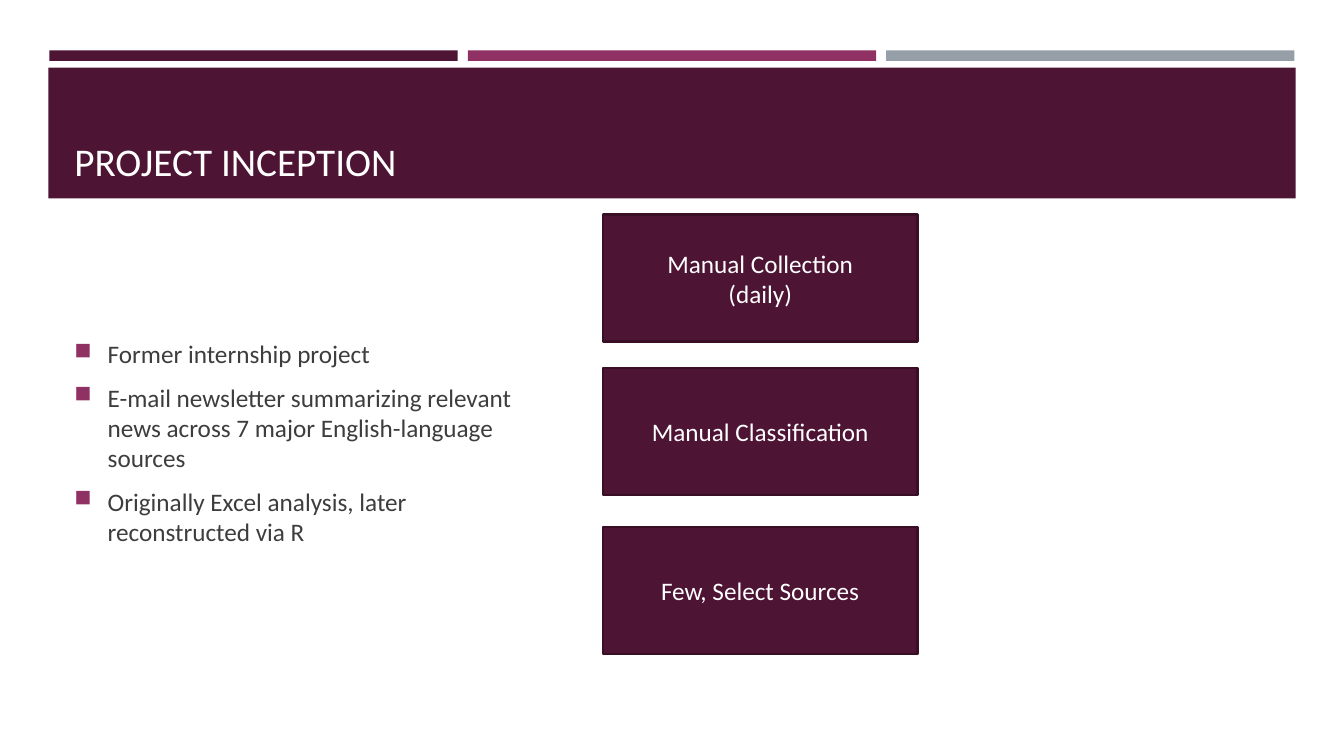
from lxml import etree
from pptx import Presentation
from pptx.dml.color import RGBColor
from pptx.enum.shapes import MSO_SHAPE
from pptx.enum.text import MSO_ANCHOR, PP_ALIGN
from pptx.oxml.ns import qn
from pptx.util import Inches, Pt

RECT = MSO_SHAPE.RECTANGLE
LOW, MID = MSO_ANCHOR.BOTTOM, MSO_ANCHOR.MIDDLE
LEFT, MIDST = PP_ALIGN.LEFT, PP_ALIGN.CENTER

PLUM = RGBColor(0x4D, 0x14, 0x34)
BERRY = RGBColor(0x90, 0x31, 0x63)
GREY = RGBColor(0x96, 0x9F, 0xA7)
EDGE = RGBColor(0x39, 0x0F, 0x26)
INK = RGBColor(0x3D, 0x3D, 0x3D)
WHITE = RGBColor(0xFF, 0xFF, 0xFF)


class Deck:
    """Holds the style and the current slide; lengths are percent of the slide."""
    font = "Calibri"
    size = 18

    def __init__(self):
        self.prs = Presentation()
        self.prs.slide_width = Inches(13.33)
        self.prs.slide_height = Inches(7.5)
        self.slide = self.prs.slides.add_slide(self.prs.slide_layouts[6])

    def place(self, x, y, w, h):
        wide, high = self.prs.slide_width, self.prs.slide_height
        return [round(share * full / 100) for share, full in
                ((x, wide), (y, high), (w, wide), (h, high))]

    def block(self, spot, fill, edge=None):
        shape = self.slide.shapes.add_shape(RECT, *self.place(*spot))
        shape.shadow.inherit = False
        shape.fill.solid()
        shape.fill.fore_color.rgb = fill
        if edge is None:
            shape.line.fill.background()
        else:
            shape.line.color.rgb = edge
            shape.line.width = Pt(1.75)
        return shape

    def letter(self, shape, text, color, anchor, align=LEFT, size=size):
        frame = shape.text_frame
        frame.text = text
        frame.word_wrap = True
        frame.vertical_anchor = anchor
        for para in frame.paragraphs:
            para.alignment = align
            for run in para.runs:
                run.font.name = self.font
                run.font.size = Pt(size)
                run.font.color.rgb = color
        return frame

    def label(self, spot, text, color, anchor, size=size):
        box = self.slide.shapes.add_textbox(*self.place(*spot))
        return self.letter(box, text, color, anchor, size=size)

    def points(self, spot, items):
        frame = self.label(spot, "\n".join(items), INK, MID)
        for para in frame.paragraphs:
            para.space_before = Pt(0.2 * self.size)
            para.space_after = Pt(6)
            props = para._p.get_or_add_pPr()
            props.set("marL", str(Inches(0.33)))
            props.set("indent", str(-Inches(0.33)))
            tint = etree.SubElement(props, qn("a:buClr"))
            etree.SubElement(tint, qn("a:srgbClr"), val=str(BERRY))
            etree.SubElement(props, qn("a:buSzPct"), val="92000")
            etree.SubElement(props, qn("a:buChar"), char="■")

    def card(self, spot, text):
        self.letter(self.block(spot, PLUM, EDGE), text, WHITE, MID, MIDST)


def main():
    deck = Deck()

    # Three stripes across the top
    for col, fill in enumerate((PLUM, BERRY, GREY)):
        deck.block((3.68 + 31.13 * col, 6.67, 30.38, 1.4), fill)

    # Title band
    deck.block((3.6, 8.93, 92.8, 17.33), PLUM)
    deck.label((4.8, 10.27, 90.47, 14.8), "PROJECT INCEPTION", WHITE, LOW, 28)

    # Bullet list
    deck.points((4.8, 31.73, 35.78, 53.6), (
        "Former internship project",
        "E-mail newsletter summarizing relevant news across 7 major "
        "English-language sources",
        "Originally Excel analysis, later reconstructed via R",
    ))

    # Column of cards
    for top, text in ((28.4, "Manual Collection\n(daily)"),
                      (48.67, "Manual Classification"),
                      (69.73, "Few, Select Sources")):
        deck.card((44.86, top, 23.41, 16.8), text)

    deck.prs.save("out.pptx")


if __name__ == "__main__":
    main()
